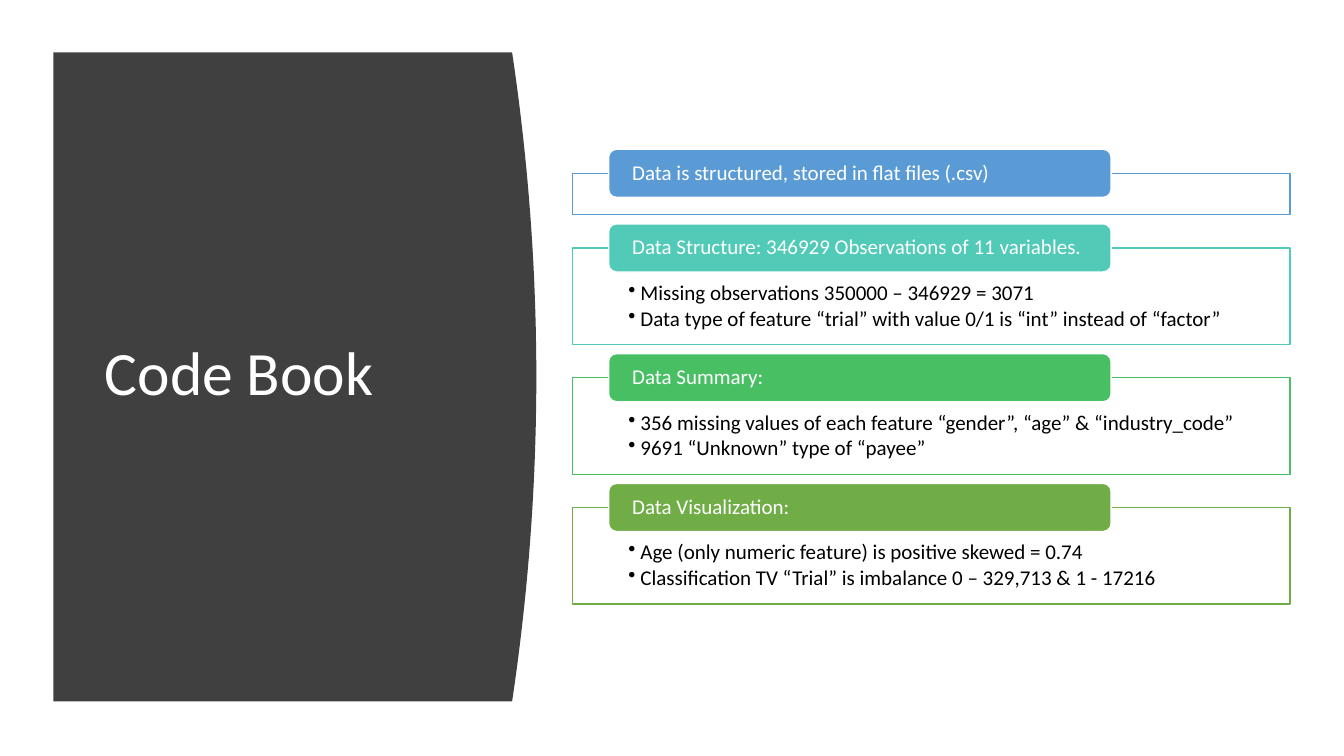
"""Build the Code Book slide: a curved title panel beside four labelled data notes."""
from lxml import etree
from pptx import Presentation
from pptx.dml.color import RGBColor
from pptx.enum import shapes, text
from pptx.oxml import ns
from pptx.util import Pt

FONT = "Calibri"
WHITE, BLACK, CHARCOAL = "FFFFFF", "000000", "404040"
FRAME_LEFT, FRAME_WIDTH, FIRST_TOP, GAP = 409, 512.6, 123.8, 23.7
LABEL_LEFT, LABEL_WIDTH, LABEL_HEIGHT = 434.7, 359, 34.4
SECTIONS = [
    ("Data is structured, stored in flat files (.csv)", "5B9BD5", 29.6, []),
    ("Data Structure: 346929 Observations of 11 variables.", "52CAB8", 69, [
        "Missing observations 350000 – 346929 = 3071",
        "Data type of feature “trial” with value 0/1 is “int” instead of “factor”"]),
    ("Data Summary:", "49BF64", 69, [
        "356 missing values of each feature “gender”, “age” & “industry_code”",
        "9691 “Unknown” type of “payee”"]),
    ("Data Visualization:", "70AD47", 69, [
        "Age (only numeric feature) is positive skewed = 0.74",
        "Classification TV “Trial” is imbalance 0 – 329,713 & 1 - 17216"]),
]


def paint(color_format, color):
    """Set a fill, line or font colour from a hex string."""
    color_format.rgb = RGBColor.from_string(color)


def fill_solid(shape, color):
    """Give a shape a flat fill and no shadow."""
    shape.shadow.inherit = False
    shape.fill.solid()
    paint(shape.fill.fore_color, color)


def add_block(slide, kind, box, fill, outline):
    """Add a preset shape with a one-point outline."""
    block = slide.shapes.add_shape(kind, *map(Pt, box))
    fill_solid(block, fill)
    paint(block.line.color, outline)
    block.line.width = Pt(1)
    return block


def set_frame(shape, anchor, insets):
    """Set wrapping, anchor and left, top, right, bottom insets."""
    frame = shape.text_frame
    frame.word_wrap = True
    frame.auto_size = text.MSO_AUTO_SIZE.NONE
    frame.vertical_anchor = anchor
    (frame.margin_left, frame.margin_top,
     frame.margin_right, frame.margin_bottom) = map(Pt, insets)
    return frame


def write(paragraph, wording, size, color):
    """Write one left-aligned run into a paragraph."""
    paragraph.alignment = text.PP_ALIGN.LEFT
    paragraph.line_spacing = 0.9
    run = paragraph.add_run()
    run.text = wording
    run.font.name = FONT
    run.font.size = Pt(size)
    paint(run.font.color, color)


def add_bullet(paragraph):
    """Give a paragraph a hanging bullet."""
    paragraph.space_after = Pt(2.25)
    properties = paragraph._p.get_or_add_pPr()
    properties.set("marL", str(Pt(8.64)))
    properties.set("indent", str(-Pt(8.64)))
    etree.SubElement(properties, ns.qn("a:buChar")).set("char", "•")


def add_panel(slide):
    """Draw the dark panel with its bulging right edge behind the title."""
    left, top, right, bottom, bulge, steps = 38.2, 37.4, 365.8, 501.1, 17.3, 40
    edge = []
    for step in range(steps + 1):
        share = step / steps
        edge.append((Pt(right + bulge * 4 * share * (1 - share)),
                     Pt(top + (bottom - top) * share)))
    builder = slide.shapes.build_freeform(Pt(left), Pt(top))
    builder.add_line_segments(edge + [(Pt(left), Pt(bottom))], close=True)
    panel = builder.convert_to_shape()
    fill_solid(panel, CHARCOAL)
    panel.line.fill.background()
    slide.shapes.title._element.addprevious(panel._element)


def set_title(slide, wording):
    """Place and format the slide title."""
    title = slide.shapes.title
    title.left, title.top, title.width, title.height = map(Pt, (67.7, 79.9, 269.3, 377.3))
    frame = set_frame(title, text.MSO_ANCHOR.MIDDLE, (7.2, 3.6, 7.2, 3.6))
    write(frame.paragraphs[0], wording, 44, WHITE)


def add_section(slide, top, heading, color, height, notes):
    """Add an outlined frame of notes with a coloured label over its top edge."""
    outline = add_block(slide, shapes.MSO_SHAPE.RECTANGLE,
                        (FRAME_LEFT, top, FRAME_WIDTH, height), WHITE, color)
    tint = outline.fill._xPr.find(".//" + ns.qn("a:srgbClr"))
    etree.SubElement(tint, ns.qn("a:alpha")).set("val", "90000")
    body = set_frame(outline, text.MSO_ANCHOR.TOP, (39.8, 24.5, 39.8, 8.6))
    for index, note in enumerate(notes):
        paragraph = body.add_paragraph() if index else body.paragraphs[0]
        write(paragraph, note, 15, BLACK)
        add_bullet(paragraph)
    label = add_block(slide, shapes.MSO_SHAPE.ROUNDED_RECTANGLE,
                      (LABEL_LEFT, top - LABEL_HEIGHT / 2, LABEL_WIDTH, LABEL_HEIGHT),
                      color, WHITE)
    frame = set_frame(label, text.MSO_ANCHOR.MIDDLE, (15.2, 0, 15.2, 0))
    write(frame.paragraphs[0], heading, 15, WHITE)


def main():
    """Build and save the slide."""
    deck = Presentation()
    deck.slide_width, deck.slide_height = Pt(960), Pt(540)
    slide = deck.slides.add_slide(deck.slide_layouts[5])
    add_panel(slide)
    set_title(slide, "Code Book")
    top = FIRST_TOP
    for heading, color, height, notes in SECTIONS:
        add_section(slide, top, heading, color, height, notes)
        top += height + GAP
    deck.save("out.pptx")


main()
